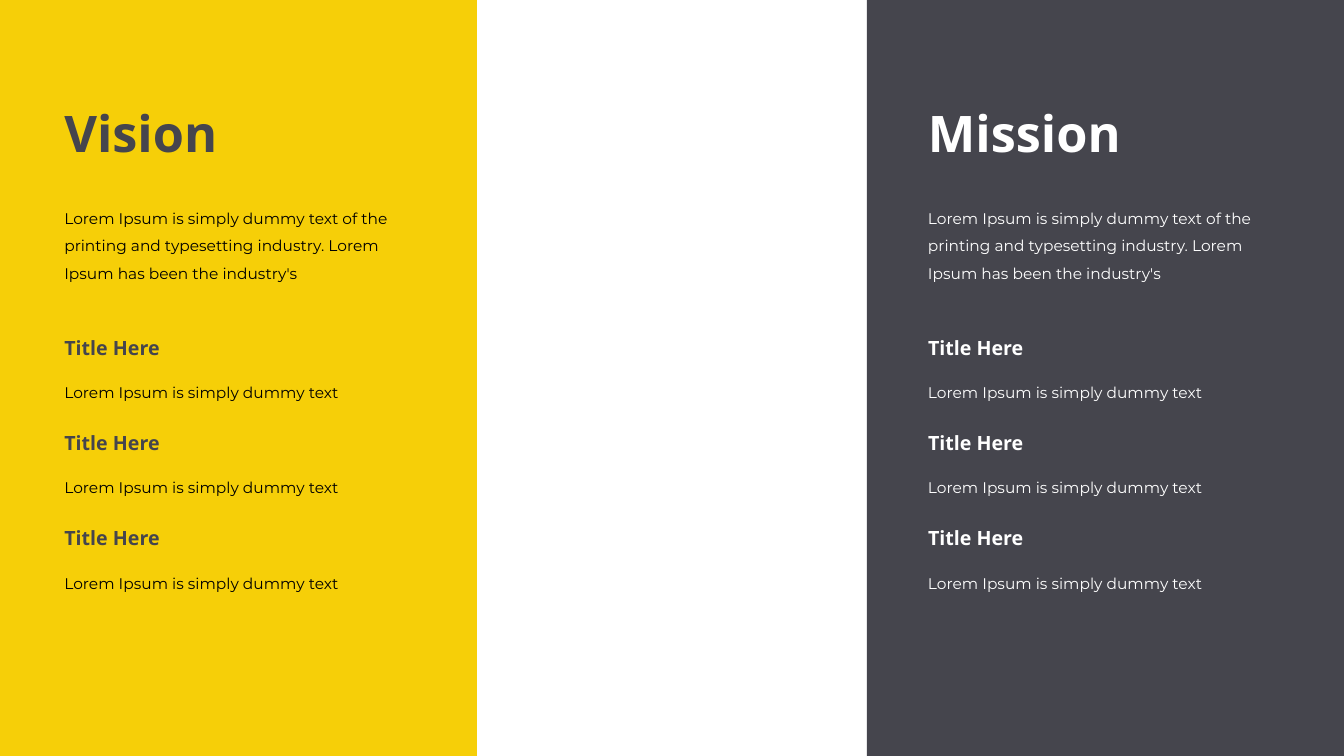
from pptx import Presentation
from pptx.dml.color import RGBColor
from pptx.enum.shapes import MSO_SHAPE as Shape
from pptx.enum.text import MSO_AUTO_SIZE as AutoSize
from pptx.util import Pt

COLORS = {"yellow": "F6CF08", "charcoal": "45454D", "black": "000000", "white": "FFFFFF"}
FORMATS = {
    "heading": {"name": "Open Sans", "size": Pt(36), "bold": True},
    "title": {"name": "Open Sans", "size": Pt(14), "bold": True},
    "body": {"name": "Montserrat", "size": Pt(11)},
}
LINE_SPACING = {"body": 1.5}

SLIDE_WIDTH, SLIDE_HEIGHT = 960, 540
INTRO = ("Lorem Ipsum is simply dummy text of the printing and typesetting industry. "
         "Lorem Ipsum has been the industry's")
POINTS = [("Title Here", "Lorem Ipsum is simply dummy text")] * 3
POINT_TOP, POINT_STEP = 236.2, 68.1


def rgb(color):
    return RGBColor.from_string(COLORS[color])


def add_text(slide, box, text, style, color):
    label = slide.shapes.add_textbox(*map(Pt, box))
    frame = label.text_frame
    frame.word_wrap = True
    frame.auto_size = AutoSize.SHAPE_TO_FIT_TEXT
    paragraph = frame.paragraphs[0]
    paragraph.line_spacing = LINE_SPACING.get(style)
    run = paragraph.add_run()
    run.text = text
    for attribute, value in FORMATS[style].items():
        setattr(run.font, attribute, value)
    run.font.color.rgb = rgb(color)


def add_statement(slide, box, inset, heading, fill, title_color, body_color):
    """Fill a panel and set its heading, introduction and titled points."""
    left, top, width, height = box
    panel = slide.shapes.add_shape(Shape.RECTANGLE, *map(Pt, box))
    panel.shadow.inherit = False
    panel.fill.solid()
    panel.fill.fore_color.rgb = rgb(fill)
    panel.line.fill.background()

    text_left = left + inset
    add_text(slide, (text_left, top + 69.1, 352, 51), heading, "heading", title_color)
    add_text(slide, (text_left, top + 139, 260, 67), INTRO, "body", body_color)
    for index, (title, detail) in enumerate(POINTS):
        point_top = top + POINT_TOP + index * POINT_STEP
        add_text(slide, (text_left, point_top, 170, 24.5), title, "title", title_color)
        add_text(slide, (text_left, point_top + 27.4, 260, 27), detail, "body", body_color)


def main():
    deck = Presentation()
    deck.slide_width, deck.slide_height = Pt(SLIDE_WIDTH), Pt(SLIDE_HEIGHT)
    slide = deck.slides.add_slide(deck.slide_layouts[6])
    add_statement(slide, (0, 0, 340.6, SLIDE_HEIGHT), 38.9,
                  "Vision", "yellow", "charcoal", "black")
    add_statement(slide, (619.2, 0, SLIDE_WIDTH - 619.2, SLIDE_HEIGHT), 36.6,
                  "Mission", "charcoal", "white", "white")
    deck.save("out.pptx")


if __name__ == "__main__":
    main()
